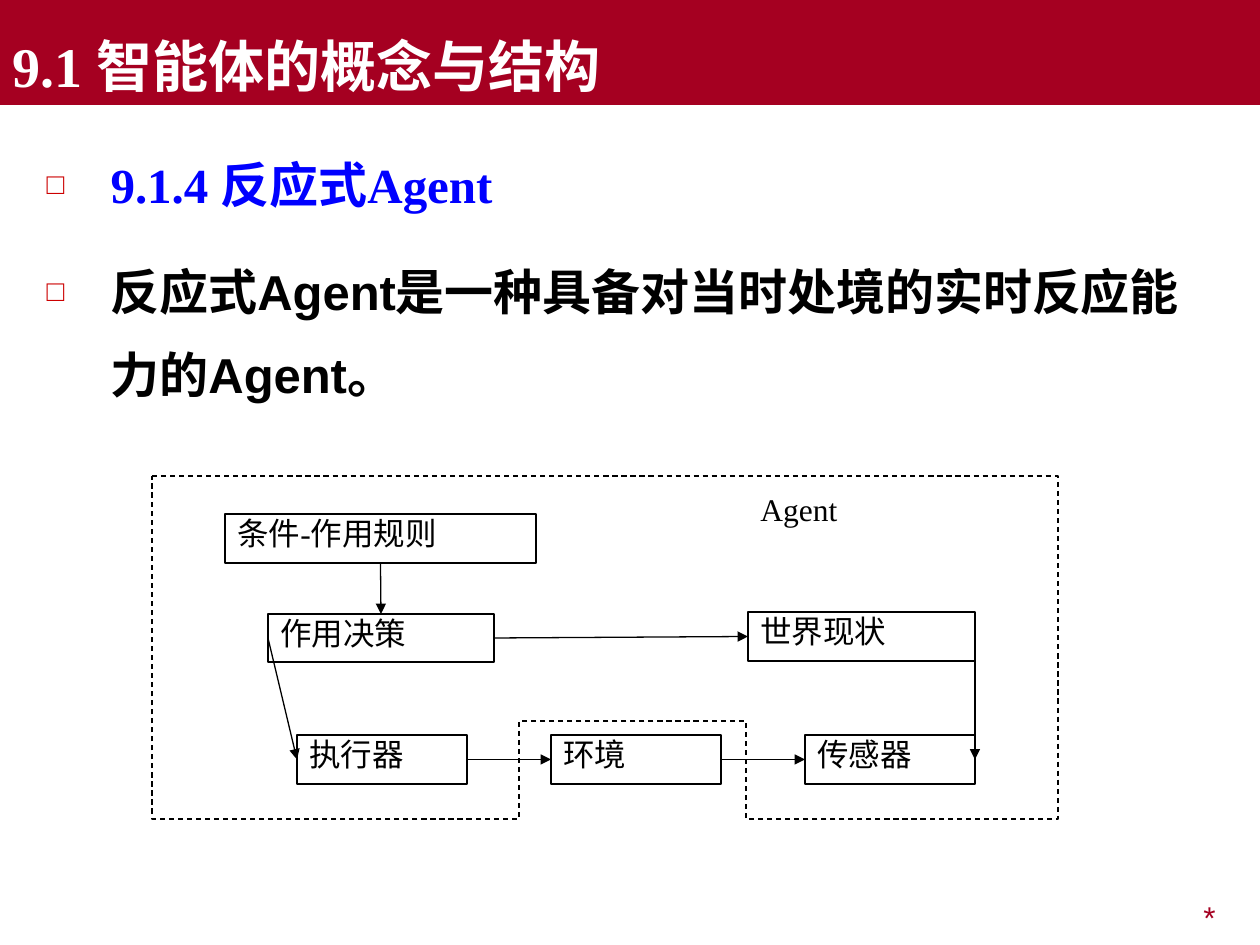
from dataclasses import dataclass

from lxml import etree
from pptx import Presentation
from pptx import util as u
from pptx.dml.color import RGBColor
from pptx.enum import dml, shapes, text
from pptx.oxml.ns import qn

EMU_PER_PX = 914400 / 126
SERIF, SANS = "Times New Roman", "Arial"
COLORS = {
    "crimson": "A50021",
    "bullet": "CC0000",
    "heading": "0000FF",
    "black": "000000",
    "white": "FFFFFF",
}
TOP, LEFT, BOTTOM, RIGHT = range(4)  # connection sites of a rectangle


@dataclass
class Step:
    label: str
    left: int
    top: int
    width: int
    height: int = 49


@dataclass
class Flow:
    start: str
    start_site: int
    end: str
    end_site: int


STEPS = {
    "sensor": Step("传感器", 805, 735, 170),
    "environment": Step("环境", 551, 735, 170),
    "actuator": Step("执行器", 297, 735, 170),
    "rules": Step("条件-作用规则", 225, 514, 311),
    "decision": Step("作用决策", 268, 614, 226, 48),
    "world": Step("世界现状", 748, 612, 227),
}
FLOWS = [
    Flow("decision", LEFT, "actuator", LEFT),
    Flow("actuator", RIGHT, "environment", LEFT),
    Flow("environment", RIGHT, "sensor", LEFT),
    Flow("decision", RIGHT, "world", LEFT),
    Flow("world", RIGHT, "sensor", RIGHT),
    Flow("rules", BOTTOM, "decision", TOP),
]
AGENT_BOUNDARY = [(152, 476), (1058, 476), (1058, 819), (746, 819),
                  (746, 721), (519, 721), (519, 819), (152, 819)]


def px(length: int) -> u.Emu:
    return u.Emu(round(length * EMU_PER_PX))


def rgb(name: str) -> RGBColor:
    return RGBColor.from_string(COLORS[name])


def place(shape, left: int, top: int, width: int, height: int) -> None:
    shape.left, shape.top, shape.width, shape.height = map(px, (left, top, width, height))


def style(paragraph, size: int, face: str, color: str, bold: bool = False) -> None:
    font = paragraph.font
    font.size, font.name, font.bold = u.Pt(size), face, bold
    font.color.rgb = rgb(color)


def outline(line) -> None:
    line.color.rgb = rgb("black")
    line.width = u.Pt(0.75)


def write_label(shape, label: str) -> None:
    """Fill a diagram box with top-anchored, justified text."""
    frame = shape.text_frame
    frame.word_wrap = True
    frame.vertical_anchor = text.MSO_ANCHOR.TOP
    frame.margin_top, frame.margin_bottom = 0, u.Inches(0.05)
    frame.text = label
    paragraph = frame.paragraphs[0]
    paragraph.alignment = text.PP_ALIGN.JUSTIFY
    style(paragraph, 18, SERIF, "black")


def add_square_bullet(paragraph) -> None:
    properties = paragraph._p.get_or_add_pPr()
    properties.set("marL", str(px(64)))
    properties.set("indent", str(-px(64)))
    color = etree.SubElement(properties, qn("a:buClr"))
    etree.SubElement(color, qn("a:srgbClr"), val=COLORS["bullet"])
    etree.SubElement(properties, qn("a:buSzPct"), val="60000")
    etree.SubElement(properties, qn("a:buChar"), char="□")


def add_title(slide) -> None:
    title = slide.shapes.title
    place(title, 0, 0, 1260, 105)
    title.fill.solid()
    title.fill.fore_color.rgb = rgb("crimson")
    frame = title.text_frame
    frame.text = "9.1 智能体的概念与结构"
    frame.auto_size = text.MSO_AUTO_SIZE.NONE
    frame.vertical_anchor = text.MSO_ANCHOR.BOTTOM
    heading = frame.paragraphs[0]
    heading.alignment = text.PP_ALIGN.LEFT
    style(heading, 32, SERIF, "white", bold=True)


def add_body(slide) -> None:
    body = slide.placeholders[1]
    place(body, 34, 125, 1191, 745)
    frame = body.text_frame
    frame.text = "9.1.4 反应式Agent\n反应式Agent是一种具备对当时处境的实时反应能力的Agent。"
    frame.auto_size = text.MSO_AUTO_SIZE.NONE
    topic, definition = frame.paragraphs
    for paragraph, space, face, color in ((topic, 0, SERIF, "heading"),
                                          (definition, 14, SANS, "black")):
        paragraph.line_spacing = 1.4
        paragraph.space_before = u.Pt(space)
        add_square_bullet(paragraph)
        style(paragraph, 28, face, color, bold=True)


def add_page_mark(slide) -> None:
    mark = slide.shapes.add_textbox(px(955), px(892), px(273), px(49))
    mark.text_frame.word_wrap = True
    mark.text_frame.text = "*"
    paragraph = mark.text_frame.paragraphs[0]
    paragraph.alignment = text.PP_ALIGN.RIGHT
    style(paragraph, 18, SANS, "crimson")


def add_step(slide, step: Step):
    box = slide.shapes.add_shape(shapes.MSO_SHAPE.FLOWCHART_PROCESS, 0, 0, 0, 0)
    place(box, step.left, step.top, step.width, step.height)
    box.shadow.inherit = False
    box.fill.solid()
    box.fill.fore_color.rgb = rgb("white")
    outline(box.line)
    write_label(box, step.label)
    return box


def add_flow(slide, flow: Flow, boxes: dict) -> None:
    arrow = slide.shapes.add_connector(shapes.MSO_CONNECTOR.STRAIGHT, 0, 0, 0, 0)
    arrow.begin_connect(boxes[flow.start], flow.start_site)
    arrow.end_connect(boxes[flow.end], flow.end_site)
    outline(arrow.line)
    etree.SubElement(arrow.line._get_or_add_ln(), qn("a:tailEnd"), type="triangle")
    etree.SubElement(arrow._element.spPr, qn("a:effectLst"))


def add_agent_boundary(slide) -> None:
    first, *others = AGENT_BOUNDARY
    builder = slide.shapes.build_freeform(*first, scale=EMU_PER_PX)
    builder.add_line_segments(others, close=True)
    boundary = builder.convert_to_shape()
    boundary.shadow.inherit = False
    boundary.fill.background()
    outline(boundary.line)
    boundary.line.dash_style = dml.MSO_LINE.DASH


def main() -> None:
    deck = Presentation()
    deck.slide_width, deck.slide_height = u.Inches(10), u.Inches(7.5)
    slide = deck.slides.add_slide(deck.slide_layouts[1])
    add_page_mark(slide)
    add_body(slide)
    add_title(slide)
    boxes = {name: add_step(slide, step) for name, step in STEPS.items()}
    for flow in FLOWS:
        add_flow(slide, flow, boxes)
    agent = slide.shapes.add_textbox(px(748), px(490), px(141), px(73))
    write_label(agent, "Agent")
    add_agent_boundary(slide)
    deck.save("out.pptx")


if __name__ == "__main__":
    main()
